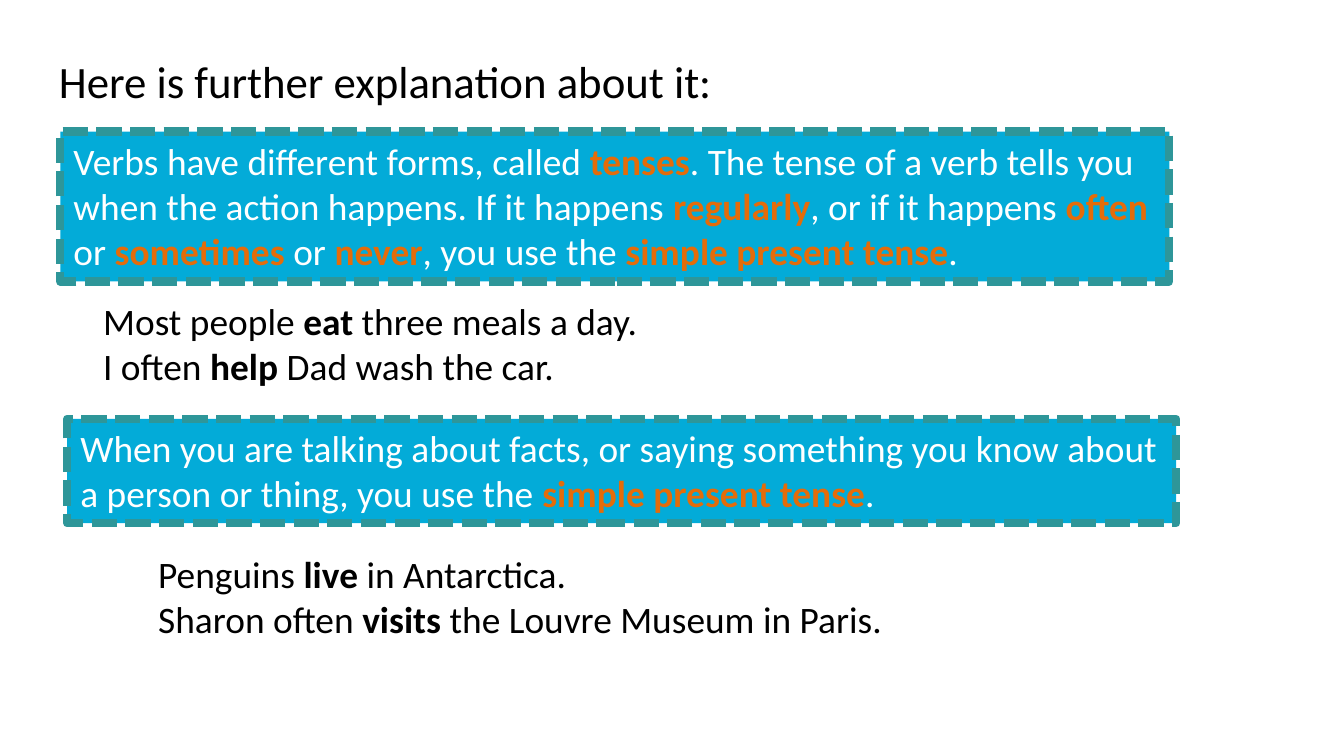
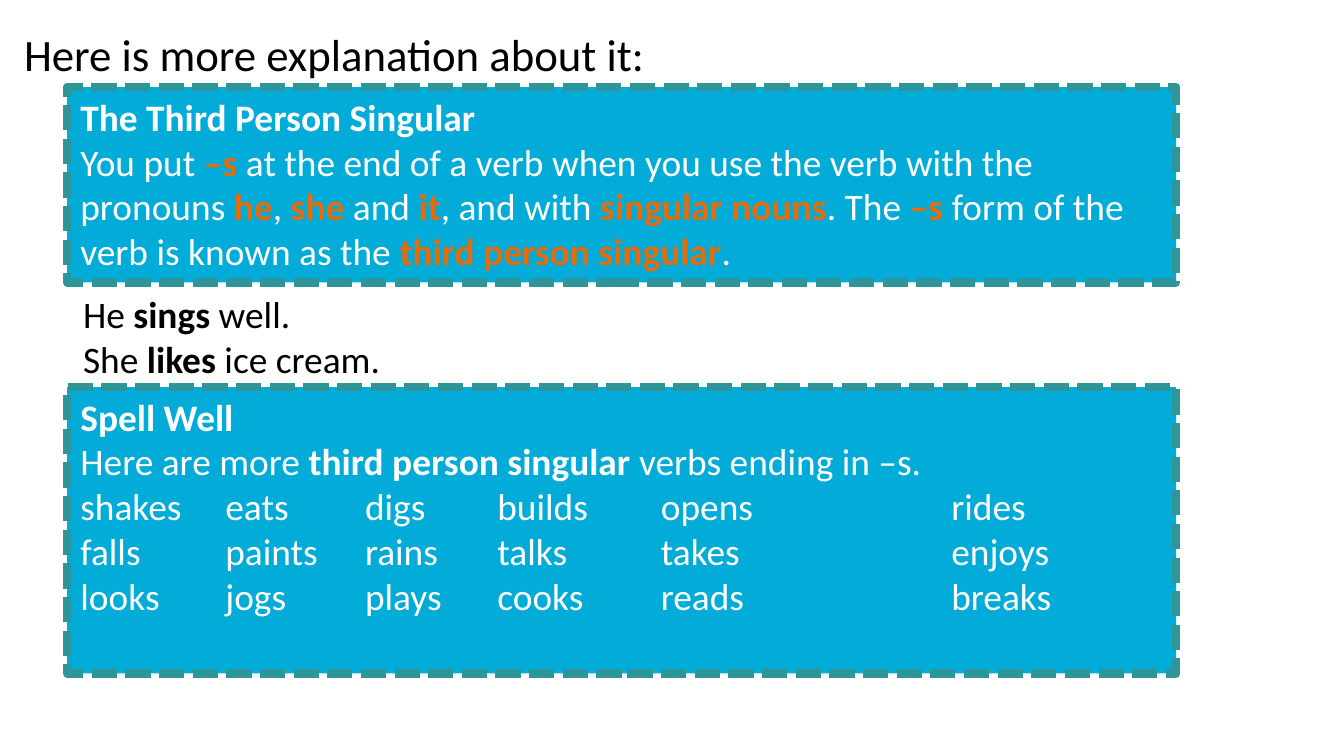
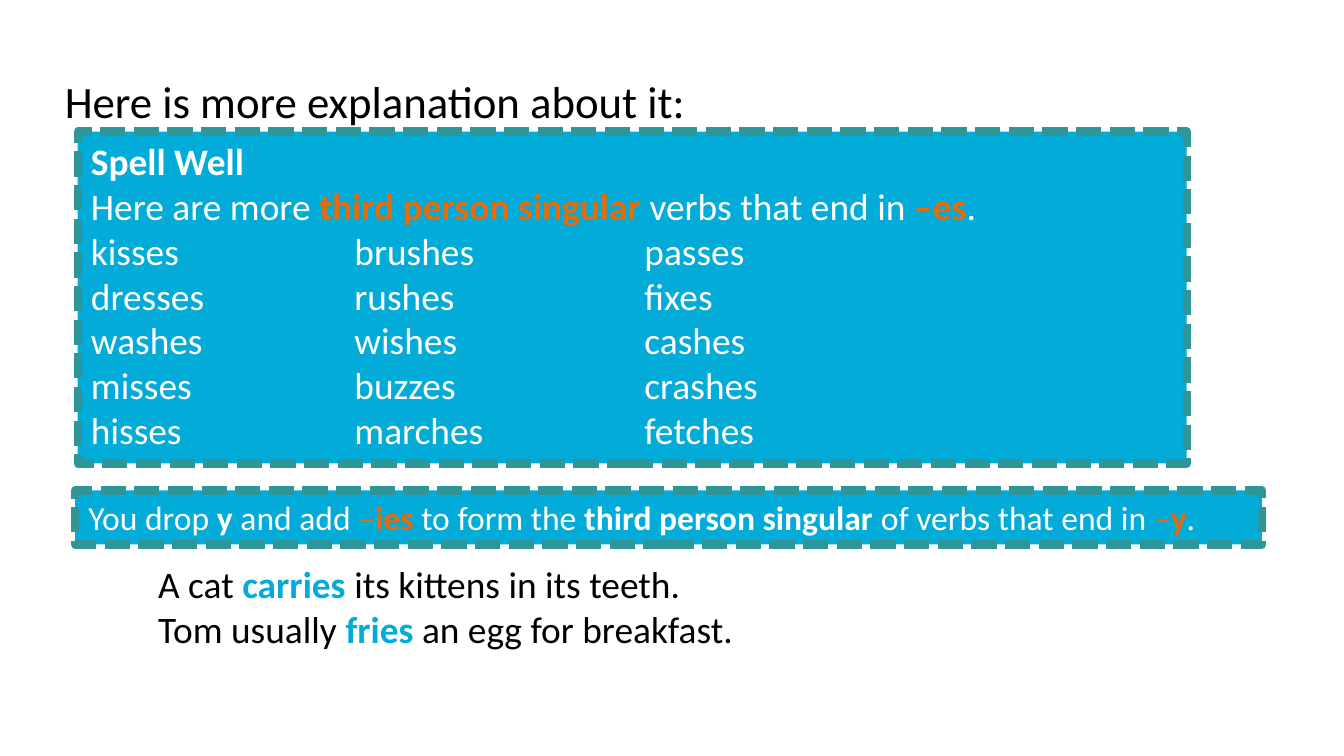
from dataclasses import dataclass

from lxml import etree
from pptx import Presentation
from pptx.dml.color import RGBColor
from pptx.enum import dml, shapes, text
from pptx.oxml.ns import qn
from pptx.util import Cm, Pt


@dataclass(frozen=True)
class Theme:
    font: str = "Calibri"
    ink: str = "000000"
    paper: str = "FFFFFF"
    panel: str = "03ABD8"
    border: str = "2E9699"
    accent: str = "E46C0A"
    title_size: int = 24
    body_size: int = 20
    small_size: int = 18
    border_width: float = 4.5


THEME = Theme()
PANEL_WIDTH = 20.96
LINE_PER_POINT = 0.043  # cm of line height for each point of type
PADDING = 0.25

# Asterisks enclose bold words; a tilde after the first one adds the accent colour.
# "rule" blocks are blue panels, "example" blocks plain text; "at" is in cm.
SLIDES = [
    dict(title="Here is further explanation about it:", at=(0.86, 0.89), blocks=[
        dict(kind="rule", at=(1.14, 2.49), lines=3, paragraphs=[
            "Verbs have different forms, called *~tenses*. The tense of a verb tells you "
            "when the action happens. If it happens *~regularly*, or if it happens "
            "*~often *or *~sometimes *or *~never*, you use the *~simple present tense*."]),
        dict(kind="example", at=(1.7, 5.51), paragraphs=[
            "Most people *eat* three meals a day.",
            "I often *help* Dad wash the car."]),
        dict(kind="rule", at=(1.27, 7.92), paragraphs=[
            "When you are talking about facts, or saying something you know about",
            "a person or thing, you use the *~simple present tense*."]),
        dict(kind="example", at=(2.74, 10.29), width=16.26, paragraphs=[
            "Penguins *live *in Antarctica.",
            "Sharon often *visits *the Louvre Museum in Paris."]),
    ]),
    dict(title="Here is more explanation about it:", at=(0.2, 0.38), blocks=[
        dict(kind="rule", at=(1.27, 1.65), lines=4, paragraphs=[
            "*The Third Person Singular*",
            "You put *~–s *at the end of a verb when you use the verb with the pronouns "
            "*~he*, *~she *and *~it*, and with *~singular nouns*. The *~–s *form of the "
            "verb is known as the *~third person singular*."]),
        dict(kind="example", at=(1.32, 5.38), paragraphs=[
            "He *sings *well.",
            "She *likes *ice cream."]),
        dict(kind="rule", at=(1.27, 7.32), lines=6, tabs=(2.74, 5.38, 7.88, 10.97, 16.46),
             paragraphs=[
                 "*Spell Well*",
                 "Here are more *third person singular *verbs ending in –s.",
                 "shakes\teats\tdigs\tbuilds\topens\trides",
                 "falls\tpaints\trains\ttalks\ttakes\tenjoys",
                 "looks\tjogs\tplays\tcooks\treads\tbreaks"]),
    ]),
    dict(title="Here is more explanation about it:", at=(0.97, 1.27), blocks=[
        dict(kind="rule", at=(1.42, 9.27), width=22.43, size=THEME.small_size, paragraphs=[
            "You drop *y *and add *~–ies *to form the *third person singular *of verbs "
            "that end in *~–y*."]),
        dict(kind="example", at=(2.74, 10.49), accent=THEME.panel, paragraphs=[
            "A cat *~carries *its kittens in its teeth.",
            "Tom usually *~fries *an egg for breakfast."]),
        dict(kind="rule", at=(1.47, 2.49), tabs=(4.98, 10.46), paragraphs=[
            "*Spell Well*",
            "Here are more *~third person singular *verbs that end in *~–es*.",
            "kisses\tbrushes\tpasses",
            "dresses\trushes\tfixes",
            "washes\twishes\tcashes",
            "misses\tbuzzes\tcrashes",
            "hisses\tmarches\tfetches"]),
    ]),
]


def box(at, width, lines, size):
    """Left, top, width and height of a box that holds the given lines of type."""
    height = lines * size * LINE_PER_POINT + PADDING
    return [Cm(v) for v in (*at, width, height)]


def set_tabs(p, stops):
    tab_list = etree.SubElement(p._p.get_or_add_pPr(), qn("a:tabLst"))
    for stop in stops:
        etree.SubElement(tab_list, qn("a:tab"), pos=str(Cm(stop)), algn="l")


def add_runs(p, marked, size, color, accent):
    for i, part in enumerate(marked.split("*")):
        if not part:
            continue
        r = p.add_run()
        r.text = part.removeprefix("~")
        formats = dict(name=THEME.font, size=Pt(size), bold=i % 2 == 1)
        for name, value in formats.items():
            setattr(r.font, name, value)
        r.font.color.rgb = RGBColor.from_string(accent if part.startswith("~") else color)


def write(tf, paragraphs, size, color, accent=THEME.accent, tabs=()):
    formats = dict(word_wrap=True, auto_size=text.MSO_AUTO_SIZE.NONE,
                   vertical_anchor=text.MSO_ANCHOR.TOP)
    for name, value in formats.items():
        setattr(tf, name, value)
    for i, marked in enumerate(paragraphs):
        p = tf.add_paragraph() if i else tf.paragraphs[0]
        p.alignment = text.PP_ALIGN.LEFT
        if "\t" in marked:
            set_tabs(p, tabs)
        add_runs(p, marked, size, color, accent)


def add_title(s, title, at):
    sp = s.shapes.title
    sp.left, sp.top, sp.width, sp.height = box(at, 13, 1, THEME.title_size)
    write(sp.text_frame, [title], THEME.title_size, THEME.ink)


def add_panel(s, place):
    sp = s.shapes.add_shape(shapes.MSO_SHAPE.RECTANGLE, *place)
    sp.shadow.inherit = False
    sp.fill.solid()
    sp.fill.fore_color.rgb = RGBColor.from_string(THEME.panel)
    sp.line.color.rgb = RGBColor.from_string(THEME.border)
    sp.line.width = Pt(THEME.border_width)
    sp.line.dash_style = dml.MSO_LINE.SQUARE_DOT
    return sp


def add_block(s, kind, at, paragraphs, width=None, lines=None, size=THEME.body_size, **style):
    is_rule = kind == "rule"
    width = width or (PANEL_WIDTH if is_rule else 12.7)
    place = box(at, width, lines or len(paragraphs), size)
    sp = add_panel(s, place) if is_rule else s.shapes.add_textbox(*place)
    write(sp.text_frame, paragraphs, size, THEME.paper if is_rule else THEME.ink, **style)


def main():
    prs = Presentation()
    prs.slide_width, prs.slide_height = Cm(25.4), Cm(14.29)
    title_only = prs.slide_layouts.get_by_name("Title Only")
    for content in SLIDES:
        s = prs.slides.add_slide(title_only)
        add_title(s, content["title"], content["at"])
        for block in content["blocks"]:
            add_block(s, **block)
    prs.save("out.pptx")


if __name__ == "__main__":
    main()
